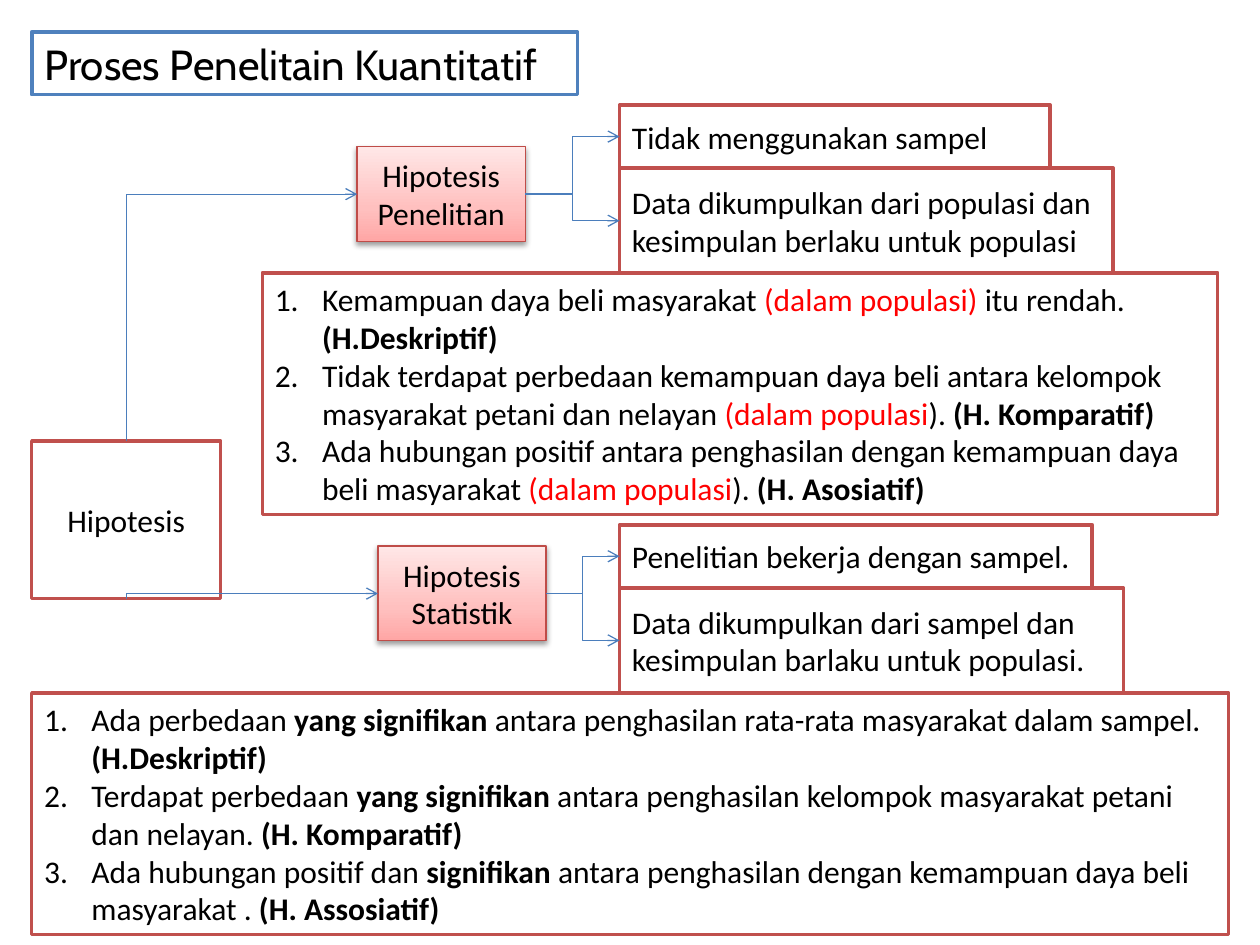
from lxml.etree import SubElement
from pptx import Presentation
from pptx.dml.color import RGBColor
from pptx.enum.shapes import MSO_CONNECTOR, MSO_SHAPE
from pptx.enum.text import MSO_ANCHOR, MSO_AUTO_SIZE, PP_ALIGN
from pptx.oxml import parse_xml
from pptx.oxml.ns import nsdecls, qn
from pptx.util import Cm, Pt

COLORS = {
    "white": "FFFFFF", "black": "000000", "red": "FF0000",
    "title_line": "4F81BD", "box_line": "C0504D",
    "pink_line": "BF4C48", "arrow": "4B7EBC",
}
PINK_STOPS = [(0, "FFA6A5"), (35, "FFC0BF"), (100, "FFE7E7")]
RIGHT_SIDE, LEFT_SIDE = 3, 1  # connection sites of a rectangle

# Each item is a list of (text, style) spans
POPULATION_ITEMS = [
    [("Kemampuan daya beli masyarakat ", ""), ("(dalam populasi) ", "red"),
     ("itu rendah. ", ""), ("(H.Deskriptif)", "bold")],
    [("Tidak terdapat perbedaan kemampuan daya beli antara kelompok masyarakat petani dan nelayan ", ""),
     ("(dalam populasi", "red"), ("). ", ""), ("(H. Komparatif)", "bold")],
    [("Ada hubungan positif antara penghasilan dengan kemampuan daya beli masyarakat ", ""),
     ("(dalam populasi", "red"), ("). ", ""), ("(H. Asosiatif)", "bold")],
]
SAMPLE_ITEMS = [
    [("Ada perbedaan ", ""), ("yang signifikan ", "bold"),
     ("antara penghasilan rata-rata masyarakat dalam sampel. ", ""), ("(H.Deskriptif)", "bold")],
    [("Terdapat perbedaan ", ""), ("yang signifikan ", "bold"),
     ("antara penghasilan kelompok masyarakat petani dan nelayan. ", ""), ("(H. Komparatif)", "bold")],
    [("Ada hubungan positif dan ", ""), ("signifikan ", "bold"),
     ("antara penghasilan dengan kemampuan daya beli masyarakat . ", ""), ("(H. Assosiatif)", "bold")],
]


def color(name):
    return RGBColor.from_string(COLORS[name])


def add_span(para, text, style="", font="Calibri", size=18):
    span = para.add_run()
    span.text = text
    span.font.name = font
    span.font.size = Pt(size)
    span.font.bold = style == "bold"
    span.font.color.rgb = color("red" if style == "red" else "black")


def outline(box, line, width):
    box.fill.solid()
    box.fill.fore_color.rgb = color("white")
    box.line.color.rgb = color(line)
    box.line.width = Pt(width)


def add_title(page, text, left, top, width, height):
    title = page.shapes.title
    title.left, title.top, title.width, title.height = map(Cm, (left, top, width, height))
    outline(title, "title_line", 2)
    frame = title.text_frame
    frame.auto_size = MSO_AUTO_SIZE.NONE
    frame.vertical_anchor = MSO_ANCHOR.TOP
    para = frame.paragraphs[0]
    para.alignment = PP_ALIGN.LEFT
    add_span(para, text, font="Cabin", size=24)


def add_box(page, left, top, width, height, text="", align=PP_ALIGN.LEFT):
    box = page.shapes.add_shape(MSO_SHAPE.RECTANGLE, *map(Cm, (left, top, width, height)))
    box.shadow.inherit = False
    outline(box, "box_line", 2)
    frame = box.text_frame
    frame.word_wrap = True
    frame.vertical_anchor = MSO_ANCHOR.MIDDLE
    if text:
        para = frame.paragraphs[0]
        para.alignment = align
        add_span(para, text)
    return box


def add_pink_box(page, left, top, text):
    box = add_box(page, left, top, 3.39, 1.91, text, PP_ALIGN.CENTER)
    outline(box, "pink_line", 0.75)
    properties = box.fill._xPr
    # Three-stop gradient
    stops = "".join(
        f'<a:gs pos="{place * 1000}"><a:srgbClr val="{value}"/></a:gs>'
        for place, value in PINK_STOPS)
    properties.replace(properties.find(qn("a:solidFill")), parse_xml(
        f'<a:gradFill {nsdecls("a")} rotWithShape="1"><a:gsLst>{stops}</a:gsLst>'
        '<a:lin ang="16200000" scaled="1"/></a:gradFill>'))
    # Soft shadow below
    shadow = SubElement(properties.find(qn("a:effectLst")), qn("a:outerShdw"),
                        blurRad="40000", dist="20000", dir="5400000", rotWithShape="0")
    shade = SubElement(shadow, qn("a:srgbClr"), val=COLORS["black"])
    SubElement(shade, qn("a:alpha"), val="38000")
    return box


def add_numbered_box(page, left, top, width, items):
    box = add_box(page, left, top, width, 4.87)
    frame = box.text_frame
    for index, spans in enumerate(items):
        para = frame.paragraphs[0] if index == 0 else frame.add_paragraph()
        para.alignment = PP_ALIGN.LEFT
        properties = para._p.get_or_add_pPr()
        properties.set("marL", "342900")
        properties.set("indent", "-342900")
        SubElement(properties, qn("a:buFont"), typeface="+mj-lt")
        SubElement(properties, qn("a:buAutoNum"), type="arabicPeriod")
        for text, style in spans:
            add_span(para, text, style)


def add_elbow(page, start, end):
    arrow = page.shapes.add_connector(MSO_CONNECTOR.ELBOW, *map(int, start + end))
    arrow.line.color.rgb = color("arrow")
    arrow.line.width = Pt(0.75)
    SubElement(arrow.line._get_or_add_ln(), qn("a:tailEnd"), type="arrow")
    SubElement(arrow._element.spPr, qn("a:effectLst"))
    return arrow


def link_sides(page, source, target):
    arrow = add_elbow(page, (0, 0), (0, 0))
    arrow.begin_connect(source, RIGHT_SIDE)
    arrow.end_connect(target, LEFT_SIDE)


def link_corner(page, source, target):
    """One-bend arrow: vertically out of source, then into the left of target."""
    start_x = source.left + source.width / 2
    end_x, end_y = target.left, target.top + target.height / 2
    upward = end_y < source.top
    start_y = source.top if upward else source.top + source.height
    middle_x, middle_y = (start_x + end_x) / 2, (start_y + end_y) / 2
    # The preset starts horizontally, so lay it out turned back by a quarter
    turn = 1 if upward else -1
    shift_x = turn * (start_y - middle_y)
    shift_y = -turn * (start_x - middle_x)
    arrow = add_elbow(page, (middle_x + shift_x, middle_y + shift_y),
                      (middle_x - shift_x, middle_y - shift_y))
    properties = arrow._element.spPr
    properties.find(qn("a:prstGeom")).set("prst", "bentConnector2")
    properties.find(qn("a:xfrm")).set("rot", "5400000" if upward else "16200000")


def main():
    deck = Presentation()
    deck.slide_width, deck.slide_height = Cm(25.4), Cm(19.05)
    page = deck.slides.add_slide(deck.slide_layouts[5])
    add_title(page, "Proses Penelitain Kuantitatif", 0.64, 0.64, 11, 1.27)

    # Hypothesis and its two kinds
    root = add_box(page, 0.64, 8.89, 3.81, 3.18, "Hipotesis", PP_ALIGN.CENTER)
    research = add_pink_box(page, 7.2, 2.96, "Hipotesis Penelitian")
    statistic = add_pink_box(page, 7.62, 11.01, "Hipotesis Statistik")

    # Traits of each kind: a short box on top of a tall one
    branches = [
        (research, 2.12, [(8.68, "Tidak menggunakan sampel"),
                          (9.95, "Data dikumpulkan dari populasi dan kesimpulan berlaku untuk populasi")]),
        (statistic, 10.58, [(9.53, "Penelitian bekerja dengan sampel."),
                            (10.16, "Data dikumpulkan dari sampel dan kesimpulan barlaku untuk populasi.")]),
    ]
    for kind, top, traits in branches:
        link_corner(page, root, kind)
        for (width, text), offset, height in zip(traits, (0, 1.27), (1.27, 2.12)):
            trait = add_box(page, 12.49, top + offset, width, height, text)
            link_sides(page, kind, trait)

    # Examples
    add_numbered_box(page, 5.29, 5.5, 19.26, POPULATION_ITEMS)
    add_numbered_box(page, 0.64, 13.97, 24.13, SAMPLE_ITEMS)
    deck.save("out.pptx")


if __name__ == "__main__":
    main()
